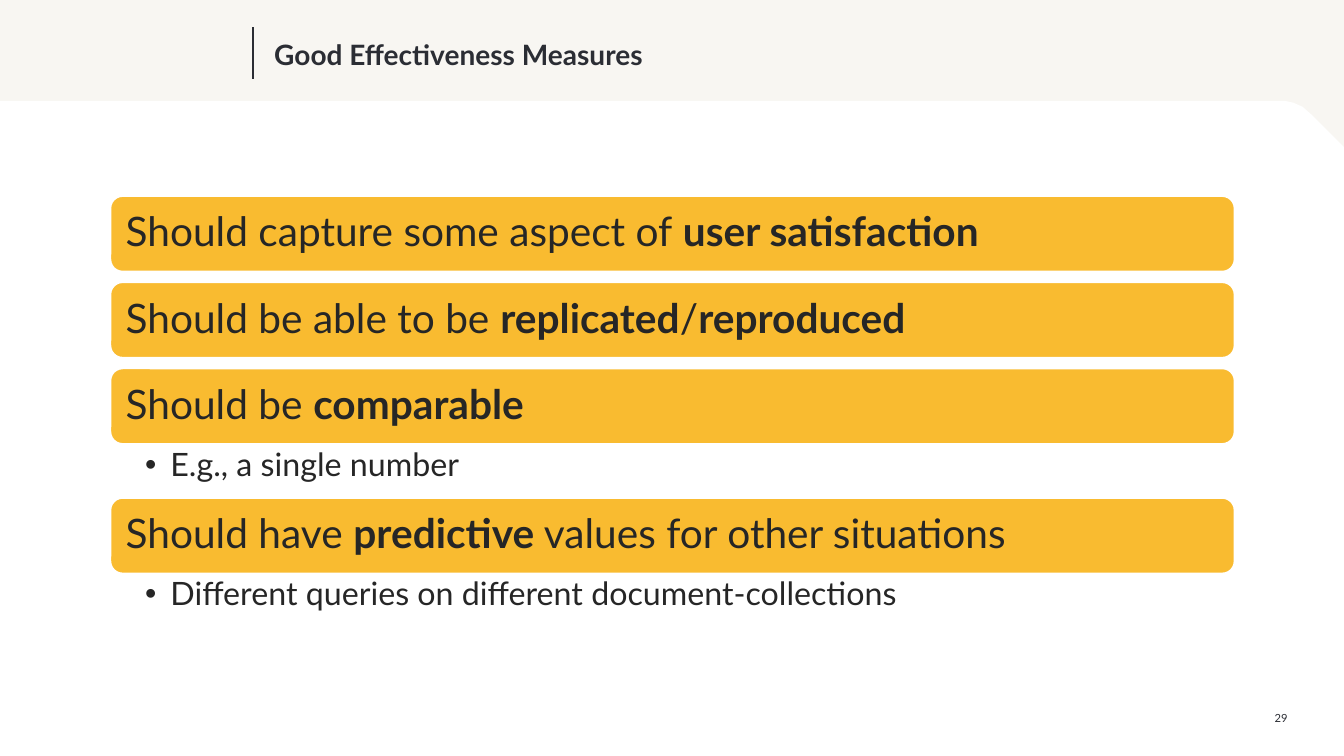
from lxml.etree import SubElement
from pptx import Presentation
from pptx.dml.color import RGBColor
from pptx.enum.shapes import MSO_CONNECTOR, MSO_SHAPE
from pptx.enum.text import MSO_ANCHOR, PP_ALIGN
from pptx.oxml.ns import qn
from pptx.util import Inches, Pt

WIDTH, HEIGHT = 13.33, 7.5
FONT = "Lato"
BACKGROUND, PANEL, INK, BAR, BAR_TEXT = "F8F6F2", "FFFFFF", "2B2D34", "F9BB30", "262626"
BAR_HEIGHT, BAR_GAP, DETAIL_HEIGHT = 0.76, 0.095, 0.525

# Each measure: runs of (text, bold), then an optional detail
MEASURES = [
    ([("Should capture some aspect of ", False), ("user satisfaction", True)], None),
    ([("Should be able to be ", False), ("replicated", True), ("/", False),
      ("reproduced", True)], None),
    ([("Should be ", False), ("comparable", True)], "E.g., a single number"),
    ([("Should have ", False), ("predictive", True),
      (" values for other situations", False)],
     "Different queries on different document-collections"),
]


def color(hex_string):
    return RGBColor.from_string(hex_string)


def write(shape, runs, size, ink, margins=(0, 0, 0, 0), anchor=MSO_ANCHOR.TOP,
          align=PP_ALIGN.LEFT, line_spacing=None):
    """Fill a shape with one paragraph of (text, bold) runs and return it."""
    frame = shape.text_frame
    frame.word_wrap = True
    frame.vertical_anchor = anchor
    (frame.margin_left, frame.margin_top,
     frame.margin_right, frame.margin_bottom) = map(Inches, margins)
    paragraph = frame.paragraphs[0]
    paragraph.alignment = align
    paragraph.line_spacing = line_spacing
    for text, bold in runs:
        run = paragraph.add_run()
        run.text = text
        run.font.name, run.font.size, run.font.bold = FONT, Pt(size), bold
        run.font.color.rgb = color(ink)
    return paragraph


def add_text(slide, left, top, width, height, runs, size, ink, **layout):
    box = slide.shapes.add_textbox(*map(Inches, (left, top, width, height)))
    return write(box, runs, size, ink, **layout)


def add_panel(slide, top):
    """White area below the header band, with its right corner cut."""
    builder = slide.shapes.build_freeform(0, Inches(HEIGHT), scale=1.0)
    corner = [(0, top), (12.74, top), (12.83, top + 0.02), (12.92, top + 0.06),
              (13.01, top + 0.14), (WIDTH, top + 0.46), (WIDTH, HEIGHT)]
    builder.add_line_segments([(Inches(x), Inches(y)) for x, y in corner])
    panel = builder.convert_to_shape()
    panel.shadow.inherit = False
    panel.fill.solid()
    panel.fill.fore_color.rgb = color(PANEL)
    panel.line.fill.background()


def add_header(slide, left, top, title):
    rule = slide.shapes.add_connector(
        MSO_CONNECTOR.STRAIGHT, *map(Inches, (left, top, left, top + 0.51)))
    rule.line.color.rgb = color(INK)
    rule.line.width = Pt(1)
    SubElement(rule._element.spPr, qn("a:effectLst"))
    add_text(slide, left + 0.21, top - 0.03, 10.3, 0.65, [(title, True)], 20, INK,
             anchor=MSO_ANCHOR.MIDDLE, line_spacing=Pt(20))


def add_bar(slide, left, top, width, runs):
    bar = slide.shapes.add_shape(
        MSO_SHAPE.ROUNDED_RECTANGLE, *map(Inches, (left, top, width, BAR_HEIGHT)))
    bar.shadow.inherit = False
    bar.fill.solid()
    bar.fill.fore_color.rgb = color(BAR)
    bar.line.color.rgb = color(PANEL)
    bar.line.width = Pt(2)
    write(bar, runs, 29, BAR_TEXT, margins=(0.12, 0.12, 0.12, 0.12),
          anchor=MSO_ANCHOR.MIDDLE, line_spacing=0.9)


def add_detail(slide, left, top, width, text):
    paragraph = add_text(slide, left, top, width, DETAIL_HEIGHT, [(text, False)], 23,
                         BAR_TEXT, margins=(0.35, 0.04, 0.23, 0.04), line_spacing=0.9)
    properties = paragraph._p.get_or_add_pPr()
    properties.set("marL", str(Inches(0.25)))
    properties.set("indent", str(-Inches(0.25)))
    SubElement(properties, qn("a:buFont"), typeface="Arial")
    SubElement(properties, qn("a:buChar"), char="•")


def add_measures(slide, left, top, width):
    """Stack the bars; a detail takes the place of the gap below its bar."""
    for runs, detail in MEASURES:
        add_bar(slide, left, top, width, runs)
        top += BAR_HEIGHT
        if detail:
            add_detail(slide, left, top, width, detail)
        top += DETAIL_HEIGHT if detail else BAR_GAP


def main():
    presentation = Presentation()
    presentation.slide_width = Inches(WIDTH)
    presentation.slide_height = Inches(HEIGHT)
    slide = presentation.slides.add_slide(presentation.slide_layouts[6])
    slide.background.fill.solid()
    slide.background.fill.fore_color.rgb = color(BACKGROUND)
    add_panel(slide, 1)
    add_text(slide, 12.49, 7.06, 0.28, 0.13, [("29", False)], 8, INK, align=PP_ALIGN.RIGHT)
    add_header(slide, 2.51, 0.27, "Good Effectiveness Measures")
    add_measures(slide, 1.09, 1.94, 11.16)
    presentation.save("out.pptx")


if __name__ == "__main__":
    main()
